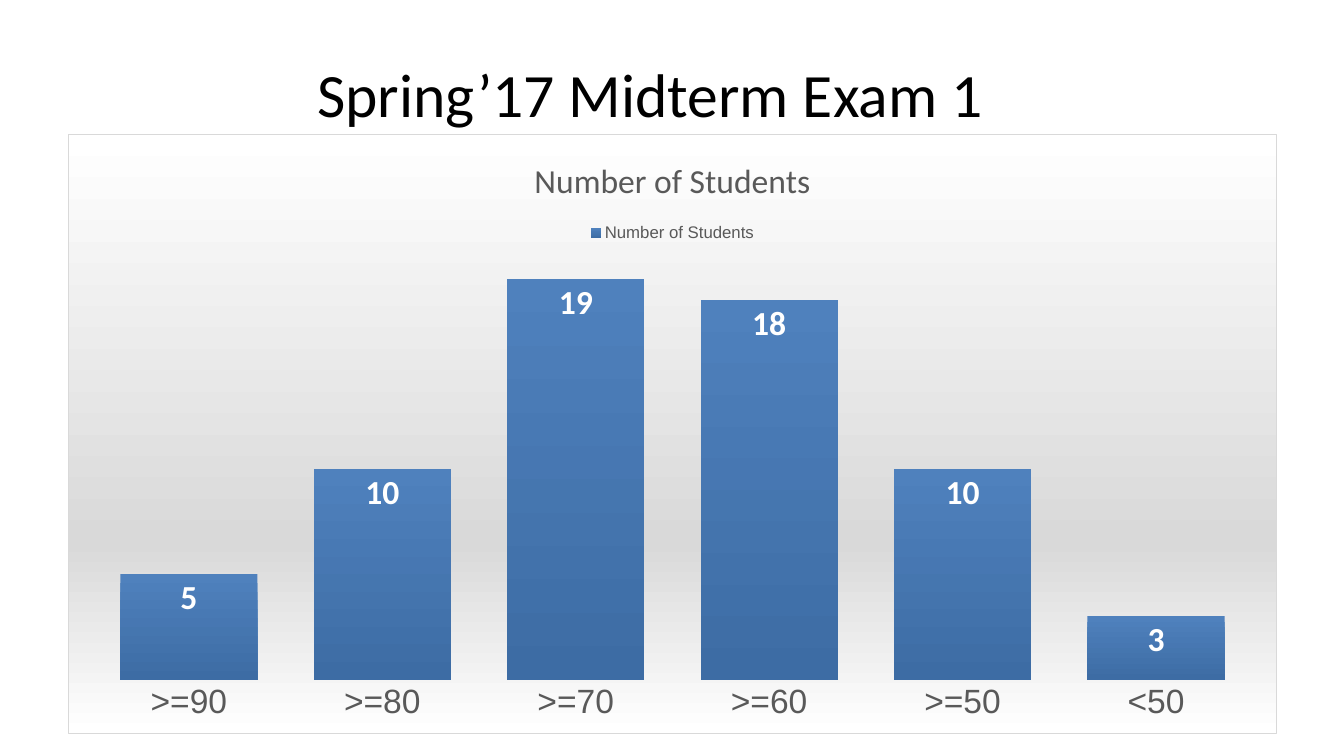
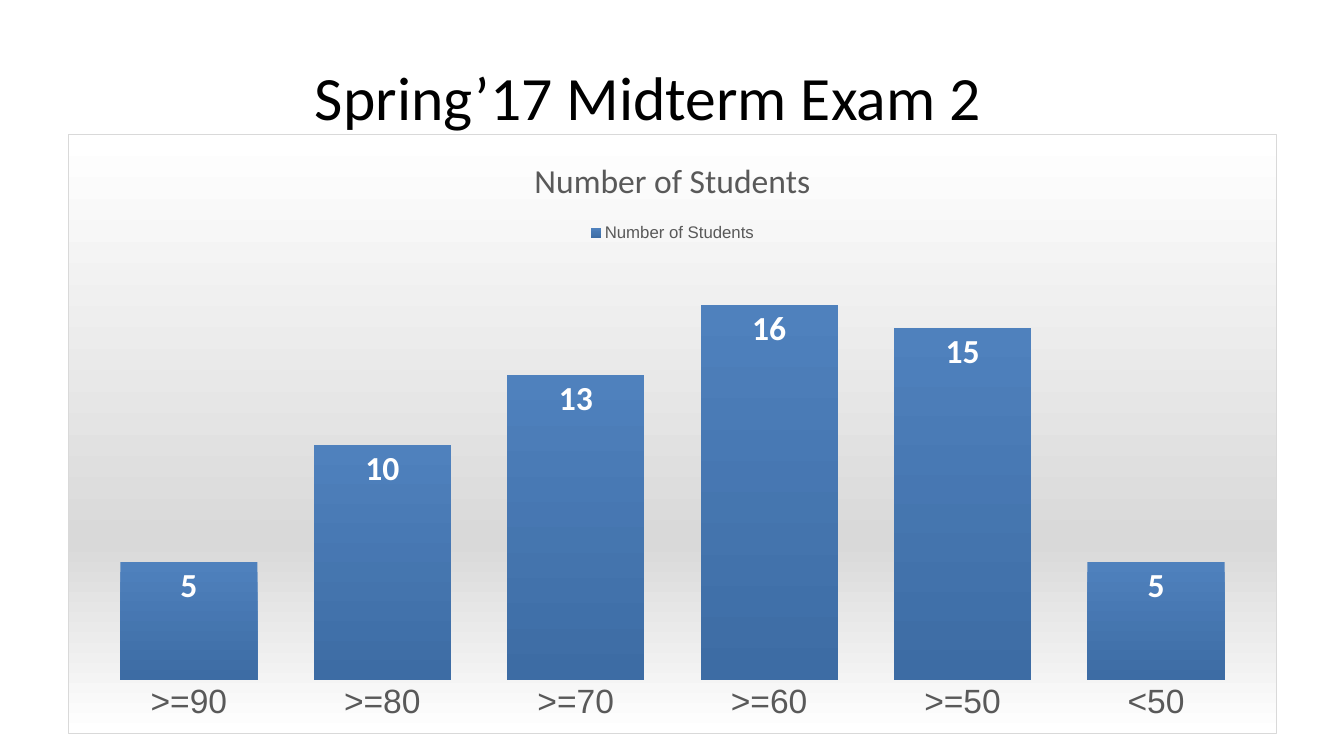
from copy import deepcopy
from dataclasses import dataclass

from pptx import Presentation
from pptx.chart.data import CategoryChartData
from pptx.dml.color import RGBColor as RGB
from pptx.dml.fill import FillFormat
from pptx.dml.line import LineFormat
from pptx.enum.chart import XL_CHART_TYPE as ChartType
from pptx.enum.chart import XL_LABEL_POSITION as LabelPos
from pptx.enum.chart import XL_LEGEND_POSITION as LegendPos
from pptx.enum.chart import XL_TICK_LABEL_POSITION as TickLabelPos
from pptx.enum.chart import XL_TICK_MARK as TickMark
from pptx.enum.text import MSO_ANCHOR, PP_ALIGN
from pptx.oxml import parse_xml
from pptx.oxml.ns import nsdecls, qn
from pptx.util import Inches, Pt


@dataclass(frozen=True)
class Theme:
    heading_font: str = "Calibri"
    chart_font: str = "Arial"
    title_size: int = 44
    chart_size: int = 24
    legend_size: int = 12
    black: str = "000000"
    white: str = "FFFFFF"
    grey: str = "595959"
    border: str = "D9D9D9"
    area_stops: tuple = ((0, "FFFFFF"), (0.68, "D9D9D9"), (1, "FFFFFF"))
    bar_stops: tuple = ((0, "4F81BD"), (1, "3D6CA4"))


THEME = Theme()
SERIES = "Number of Students"
GRADES = (">=90", ">=80", ">=70", ">=60", ">=50", "<50")
CHART_BOX = (0.67, 1.33, 12, 5.95)
EXAMS = (
    ("Spring’17 Midterm Exam 1", (0.67, 0.3, 11.56, 1.25), (5, 10, 19, 18, 10, 3)),
    ("Spring’17 Midterm Exam 2", (0.65, 0.33, 11.56, 1.25), (5, 10, 13, 16, 15, 5)),
)


def set_font(font, color, **attrs):
    for name, value in attrs.items():
        setattr(font, name, value)
    font.color.rgb = RGB.from_string(color)


def set_stops(fill, stops):
    """Run an existing gradient from top to bottom through the given stops."""
    fill.gradient_angle = 270
    for stop, (position, color) in zip(fill.gradient_stops, stops):
        stop.position = position
        stop.color.rgb = RGB.from_string(color)


def add_title(slide, box, text):
    tf = slide.shapes.add_textbox(*map(Inches, box)).text_frame
    tf.word_wrap = True
    tf.vertical_anchor = MSO_ANCHOR.MIDDLE
    p = tf.paragraphs[0]
    p.alignment = PP_ALIGN.CENTER
    r = p.add_run()
    r.text = text
    set_font(r.font, THEME.black, name=THEME.heading_font, size=Pt(THEME.title_size))


def style_chart_area(chart):
    """Give the whole chart a three-stop gradient and a thin border."""
    area = parse_xml(f"<c:spPr {nsdecls('c', 'a')}/>")
    chart.element.find(qn("c:txPr")).addprevious(area)
    fill = FillFormat.from_fill_parent(area)
    fill.gradient()
    stops = area.find(".//" + qn("a:gsLst"))
    stops.append(deepcopy(stops[-1]))
    set_stops(fill, THEME.area_stops)
    line = LineFormat(area)
    line.width = Pt(0.75)
    line.color.rgb = RGB.from_string(THEME.border)


def style_axes(chart):
    axis = chart.category_axis
    axis.major_tick_mark = axis.minor_tick_mark = TickMark.NONE
    axis.tick_label_position = TickLabelPos.NEXT_TO_AXIS
    axis.format.line.fill.background()
    set_font(axis.tick_labels.font, THEME.grey,
             name=THEME.chart_font, size=Pt(THEME.chart_size))
    scale = chart.value_axis
    scale.visible = scale.has_major_gridlines = False
    scale.minimum_scale = 0


def style_bars(plot):
    plot.gap_width = 41
    plot.vary_by_categories = False
    fill = plot.series[0].format.fill
    fill.gradient()
    set_stops(fill, THEME.bar_stops)
    labels = plot.series[0].data_labels
    labels.show_value = True
    labels.position = LabelPos.INSIDE_END
    set_font(labels.font, THEME.white, name=THEME.heading_font,
             size=Pt(THEME.chart_size), bold=True)


def add_grade_chart(slide, box, counts):
    data = CategoryChartData()
    data.categories = GRADES
    data.add_series(SERIES, counts)
    chart = slide.shapes.add_chart(
        ChartType.COLUMN_CLUSTERED, *map(Inches, box), data).chart
    set_font(chart.font, THEME.black, name=THEME.chart_font, size=Pt(10))
    style_chart_area(chart)

    chart.has_title = True
    r = chart.chart_title.text_frame.paragraphs[0].add_run()
    r.text = SERIES
    set_font(r.font, THEME.grey, name=THEME.heading_font,
             size=Pt(THEME.chart_size), bold=False)
    chart.chart_title.include_in_layout = False

    chart.has_legend = True
    chart.legend.position = LegendPos.TOP
    chart.legend.include_in_layout = False
    set_font(chart.legend.font, THEME.grey,
             name=THEME.chart_font, size=Pt(THEME.legend_size))
    style_axes(chart)
    style_bars(chart.plots[0])


def add_exam_slide(prs, title, title_box, counts):
    slide = prs.slides.add_slide(prs.slide_layouts[6])
    add_title(slide, title_box, title)
    add_grade_chart(slide, CHART_BOX, counts)


def main():
    prs = Presentation()
    prs.slide_width, prs.slide_height = Inches(13.33), Inches(7.5)
    for exam in EXAMS:
        add_exam_slide(prs, *exam)
    prs.save("out.pptx")


if __name__ == "__main__":
    main()
